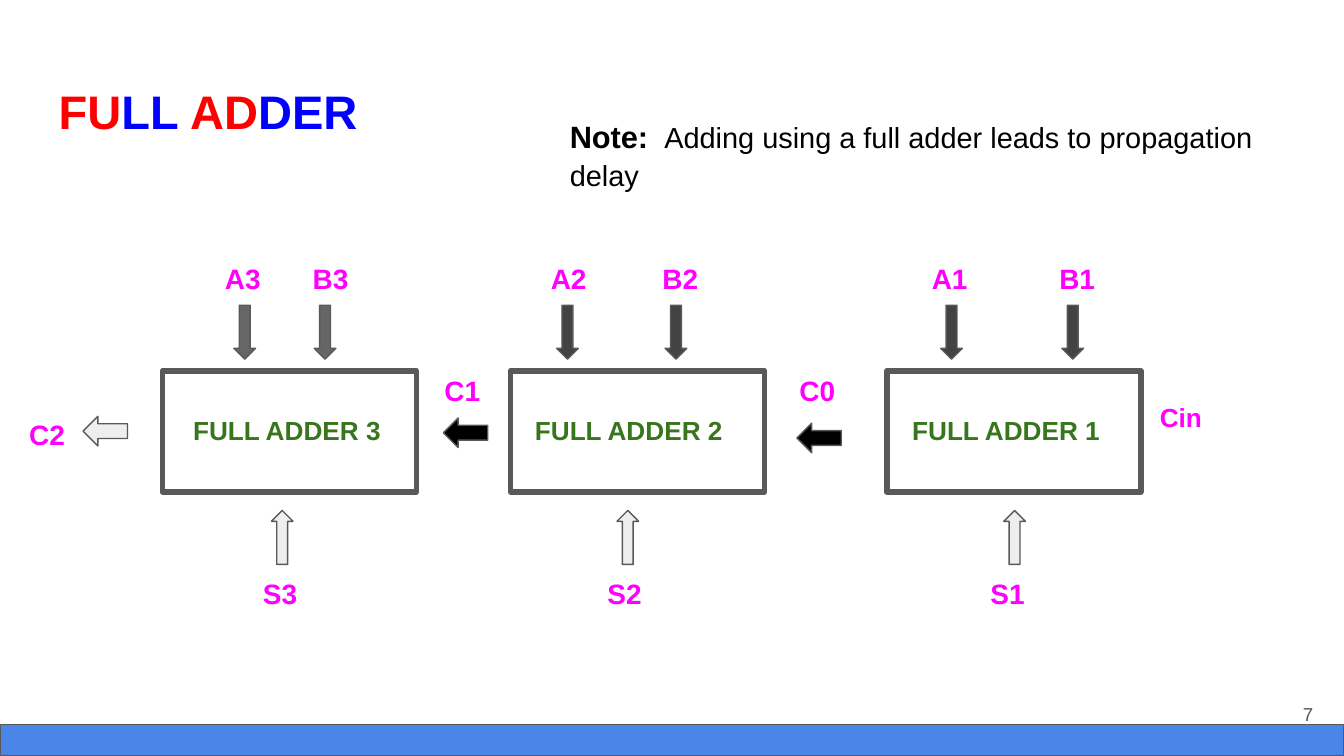
"""Build a slide showing three chained full adders and their signals."""
from lxml.etree import SubElement
from pptx import Presentation
from pptx.dml.color import RGBColor
from pptx.enum.shapes import MSO_SHAPE
from pptx.enum.text import MSO_ANCHOR, PP_ALIGN
from pptx.oxml.ns import qn
from pptx.util import Cm, Pt

RED, BLUE, BLACK, WHITE = "FF0000", "0000FF", "000000", "FFFFFF"
MAGENTA, GREEN, GRAY, PALE = "FF00FF", "38761D", "595959", "EEEEEE"

TITLE = [("FU", {"color": RED}), ("LL", {"color": BLUE}),
         (" AD", {"color": RED}), ("DER", {"color": BLUE})]
NOTE = [("Note:", {"size": 16.5}), (" ", {"gap": 4.3}),
        ("Adding using a full adder leads to propagation delay", {"bold": False})]
ADDERS = [
    {"number": 3, "left": 3.07, "name": 3.4, "fill": "666666",
     "inputs": [("A", 4.0, 4.42), ("B", 5.66, 5.94)], "sum": (4.72, 5.13)},
    {"number": 2, "left": 9.65, "name": 9.86, "fill": "434343",
     "inputs": [("A", 10.16, 10.52), ("B", 12.27, 12.57)], "sum": (11.23, 11.66)},
    {"number": 1, "left": 16.76, "name": 16.99, "fill": "434343",
     "inputs": [("A", 17.36, 17.78), ("B", 19.77, 20.07)], "sum": (18.47, 18.97)},
]
CARRIES = [("C2", 0.3, 7.65, 1.57, 7.87, PALE),
           ("C1", 8.15, 6.81, 8.38, 7.9, BLACK),
           ("C0", 14.86, 6.81, 15.06, 8.0, BLACK)]
LABEL_SIZE = (1.8, 1.14)
VERTICAL_ARROW = (0.41, 1.02)
CARRY_ARROW = (0.84, 0.56)

deck = Presentation()
deck.slide_width, deck.slide_height = Cm(25.4), Cm(14.29)
page = deck.slides.add_slide(deck.slide_layouts[6])


def rgb(value):
    """Turn a hex string into a colour."""
    return RGBColor.from_string(value)


def add_text(text, left, top, width, height, size=15, color=MAGENTA, bold=True,
             align=PP_ALIGN.LEFT, anchor=MSO_ANCHOR.TOP, spacing=1.0):
    """Add a text box holding a string or a list of formatted spans."""
    box = page.shapes.add_textbox(Cm(left), Cm(top), Cm(width), Cm(height))
    frame = box.text_frame
    frame.word_wrap = True
    frame.vertical_anchor = anchor
    frame.margin_left = frame.margin_right = Cm(0.25)
    frame.margin_top = frame.margin_bottom = Cm(0.25)
    para = frame.paragraphs[0]
    para.alignment, para.line_spacing = align, spacing
    for words, style in [(text, {})] if isinstance(text, str) else text:
        span = para.add_run()
        span.text = words
        span.font.name = "Arial"
        span.font.size = Pt(style.get("size", size))
        span.font.bold = style.get("bold", bold)
        span.font.color.rgb = rgb(style.get("color", color))
        if "gap" in style:
            span.font._element.set("spc", str(round(style["gap"] * 100)))


def add_figure(kind, left, top, width, height, fill, weight=0.75):
    """Add a filled preset shape with a gray outline."""
    figure = page.shapes.add_shape(kind, Cm(left), Cm(top), Cm(width), Cm(height))
    figure.shadow.inherit = False
    figure.fill.solid()
    figure.fill.fore_color.rgb = rgb(fill)
    figure.line.color.rgb = rgb(GRAY)
    figure.line.width = Pt(weight)
    SubElement(figure._element.spPr.find(qn("a:ln")), qn("a:round"))


add_text(TITLE, 0.86, 1.24, 9, 1.6, size=25.2, spacing=1.07)
add_text(NOTE, 10.52, 1.93, 14.2, 1.6, size=15.5, color=BLACK, spacing=1.07)

for adder in ADDERS:
    number = adder["number"]
    add_figure(MSO_SHAPE.RECTANGLE, adder["left"], 7.01, 4.8, 2.29, WHITE, weight=3)
    add_text(f"FULL ADDER {number}", adder["name"], 7.59, 4.37, 1.12, size=14, color=GREEN)
    for letter, label_left, arrow_left in adder["inputs"]:
        add_text(f"{letter}{number}", label_left, 4.7, *LABEL_SIZE)
        add_figure(MSO_SHAPE.DOWN_ARROW, arrow_left, 5.77, *VERTICAL_ARROW, adder["fill"])
    label_left, arrow_left = adder["sum"]
    add_figure(MSO_SHAPE.UP_ARROW, arrow_left, 9.65, *VERTICAL_ARROW, PALE)
    add_text(f"S{number}", label_left, 10.64, *LABEL_SIZE)

for name, label_left, label_top, arrow_left, arrow_top, fill in CARRIES:
    add_figure(MSO_SHAPE.LEFT_ARROW, arrow_left, arrow_top, *CARRY_ARROW, fill)
    add_text(name, label_left, label_top, *LABEL_SIZE)
add_text("Cin", 21.67, 7.34, 2.08, 1.12, size=14)

add_figure(MSO_SHAPE.RECTANGLE, 0, 13.69, 25.4, 0.6, "4A86E8")
add_text("7", 23.55, 12.95, 1.52, 1.09, size=10, color=GRAY, bold=False,
         align=PP_ALIGN.RIGHT, anchor=MSO_ANCHOR.MIDDLE)

deck.save("out.pptx")
